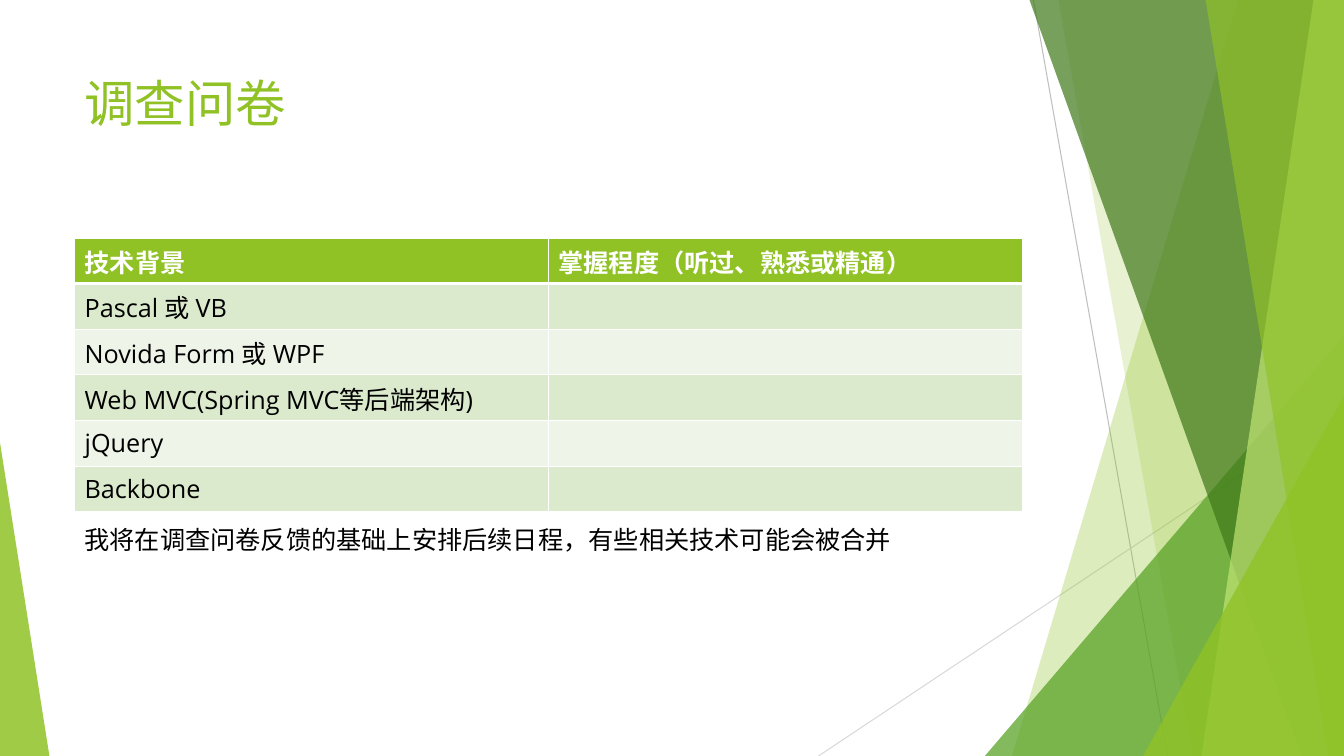
from lxml.etree import SubElement
from pptx import Presentation
from pptx.dml.color import RGBColor
from pptx.enum.shapes import MSO_CONNECTOR as Connector, MSO_SHAPE as Shape
from pptx.enum.text import MSO_ANCHOR as Anchor
from pptx.oxml.ns import qn
from pptx.util import Inches, Pt

LIME = RGBColor(0x90, 0xC2, 0x26)
GREEN = RGBColor(0x54, 0xA0, 0x21)
FOREST = RGBColor(0x3F, 0x78, 0x19)
PALE_LIME = RGBColor(0xC0, 0xE4, 0x74)
BAND_DARK = RGBColor(0xDB, 0xE9, 0xCD)
BAND_LIGHT = RGBColor(0xEE, 0xF4, 0xE8)
GRAY = RGBColor(0xBF, 0xBF, 0xBF)
LIGHT_GRAY = RGBColor(0xD9, 0xD9, 0xD9)
WHITE = RGBColor(0xFF, 0xFF, 0xFF)
BLACK = RGBColor(0, 0, 0)

FONT = "Open Sans"
LEFT, WIDTH = 5.55, 70.5
BACKGROUNDS = [
    "技术背景",
    "Pascal 或 VB",
    "Novida Form 或 WPF",
    "Web MVC(Spring MVC等后端架构)",
    "jQuery",
    "Backbone",
]
LEVEL_HEADING = "掌握程度（听过、熟悉或精通）"


class SlidePainter:
    """Draws styled elements on one slide, with lengths in percent of its size."""

    def __init__(self, deck):
        self.deck = deck
        self.slide = deck.slides.add_slide(deck.slide_layouts[6])
        self.shapes = self.slide.shapes

    def across(self, share):
        return round(self.deck.slide_width * share / 100)

    def down(self, share):
        return round(self.deck.slide_height * share / 100)

    def point(self, x, y):
        return self.across(x), self.down(y)

    def area(self, left, top, width, height):
        return *self.point(left, top), *self.point(width, height)

    def paint(self, shape, color, opacity):
        shape.shadow.inherit = False
        shape.line.fill.background()
        shape.fill.solid()
        shape.fill.fore_color.rgb = color
        tint = shape.fill._xPr.find(qn("a:solidFill"))[0]
        SubElement(tint, qn("a:alpha"), val=str(opacity * 1000))

    def line(self, start, end, color):
        line = self.shapes.add_connector(
            Connector.STRAIGHT, *self.point(*start), *self.point(*end))
        line.line.color.rgb = color
        line.line.width = Pt(0.75)
        SubElement(line._element.spPr, qn("a:effectLst"))

    def shard(self, top_left, bottom_left, color, opacity):
        builder = self.shapes.build_freeform(*self.point(top_left, 0))
        corners = [(100, 0), (100, 100), (bottom_left, 100)]
        builder.add_line_segments([self.point(*corner) for corner in corners])
        self.paint(builder.convert_to_shape(), color, opacity)

    def triangle(self, left, top, width, peak, color, opacity):
        triangle = self.shapes.add_shape(
            Shape.ISOSCELES_TRIANGLE, *self.area(left, top, width, 100 - top))
        triangle.adjustments[0] = peak
        self.paint(triangle, color, opacity)

    def style(self, frame, size, color, bold=False):
        for para in frame.paragraphs:
            para.font.size = Pt(size)
            for span in para.runs:
                span.font.name = FONT
                span.font.size = Pt(size)
                span.font.bold = bold
                span.font.color.rgb = color

    def text(self, words, top, height, size, color):
        box = self.shapes.add_textbox(*self.area(LEFT, top, WIDTH, height))
        frame = box.text_frame
        frame.word_wrap = True
        frame.vertical_anchor = Anchor.TOP
        frame.text = words
        self.style(frame, size, color)

    def border(self, cell, side, points):
        edge = SubElement(
            cell._tc.get_or_add_tcPr(), qn(f"a:ln{side}"), w=str(Pt(points)))
        SubElement(SubElement(edge, qn("a:solidFill")), qn("a:srgbClr"), val=str(WHITE))

    def table(self, rows, top, height):
        table = self.shapes.add_table(
            len(rows), len(rows[0]), *self.area(LEFT, top, WIDTH, height)).table
        table.horz_banding = False
        for row, words in enumerate(rows):
            heading = row == 0
            band = LIME if heading else BAND_DARK if row % 2 else BAND_LIGHT
            for column, word in enumerate(words):
                cell = table.cell(row, column)
                cell.text_frame.text = word
                self.style(cell.text_frame, 18, WHITE if heading else BLACK, heading)
                thickness = {"L": 1, "R": 1, "T": 3 if row == 1 else 1, "B": 3 if heading else 1}
                for side, points in thickness.items():
                    self.border(cell, side, points)
                cell.fill.solid()
                cell.fill.fore_color.rgb = band


def main():
    deck = Presentation()
    deck.slide_width, deck.slide_height = Inches(13.33), Inches(7.5)
    painter = SlidePainter(deck)

    painter.line((76.9, 0), (86.87, 100), GRAY)
    painter.line((100, 53.73), (60.9, 100), LIGHT_GRAY)
    painter.shard(92.1, 75.3, LIME, 30)
    painter.shard(78.75, 88.73, LIME, 20)
    painter.triangle(73.28, 44.4, 26.72, 1, GREEN, 72)
    painter.shard(76.6, 96.83, FOREST, 70)
    painter.shard(97.73, 89.4, PALE_LIME, 70)
    painter.shard(89.7, 98.85, LIME, 65)
    painter.triangle(85.05, 52.4, 14.95, 1, LIME, 80)
    painter.triangle(0, 58.53, 3.68, 0, LIME, 85)

    painter.text("调查问卷", 8.93, 19.2, 36, LIME)
    rows = [(name, "" if index else LEVEL_HEADING) for index, name in enumerate(BACKGROUNDS)]
    painter.table(rows, 31.47, 36.24)
    painter.text("我将在调查问卷反馈的基础上安排后续日程，有些相关技术可能会被合并",
                 68.67, 5.33, 18, BLACK)
    deck.save("out.pptx")


if __name__ == "__main__":
    main()
